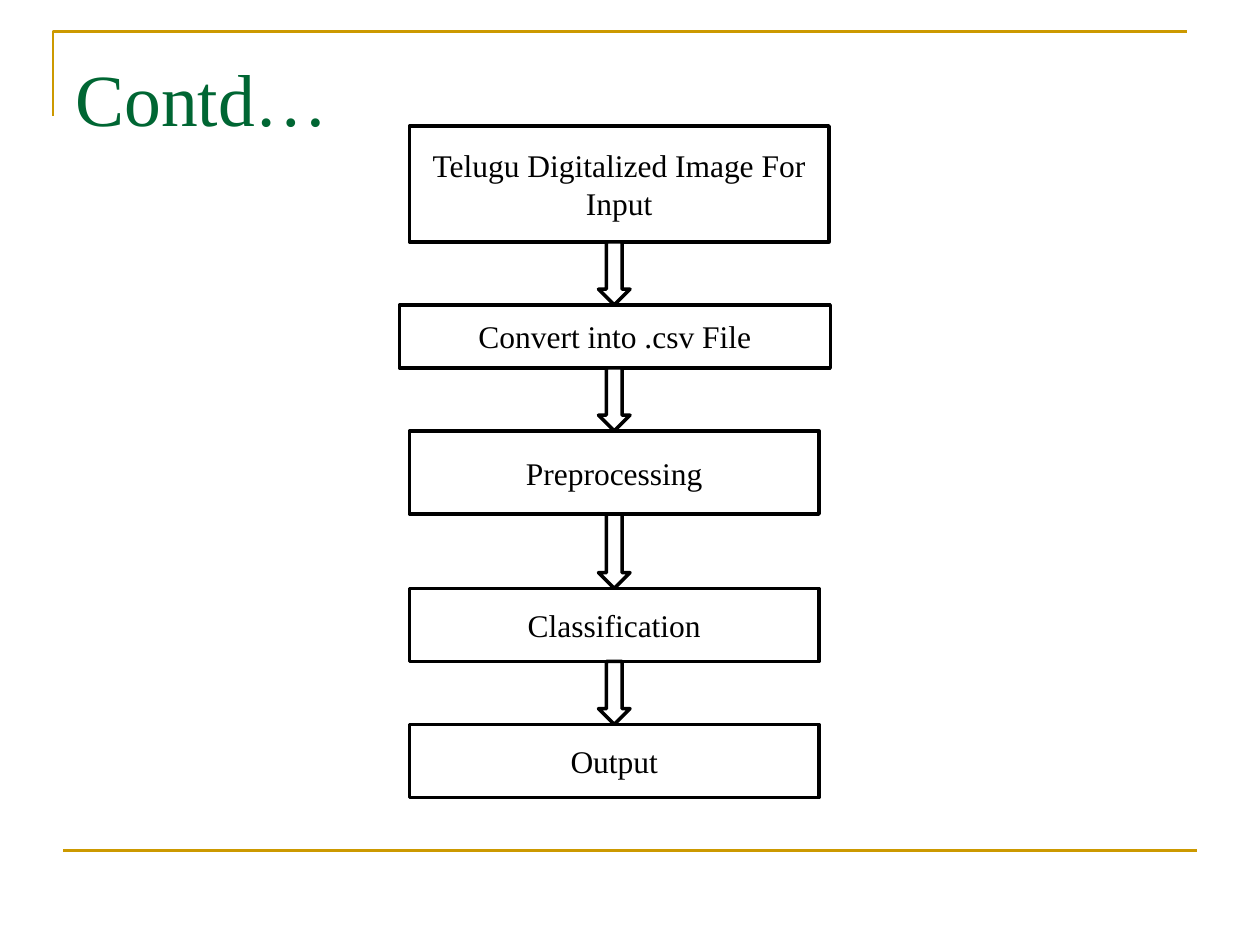
from pptx import Presentation
from pptx.dml.color import RGBColor
from pptx.enum.shapes import MSO_CONNECTOR, MSO_SHAPE
from pptx.enum.text import MSO_ANCHOR, PP_ALIGN
from pptx.oxml.ns import qn
from pptx.util import Inches, Pt
from lxml.etree import SubElement

FONT = "Times New Roman"
GOLD, GREEN, BLACK, WHITE = "CC9900", "006633", "000000", "FFFFFF"

# Steps of the flow: text, left, top, width, height
STEPS = [
    ("Telugu Digitalized Image For Input", 3.25, 1, 3.33, 0.92),
    ("Convert into .csv File", 3.17, 2.42, 3.42, 0.5),
    ("Preprocessing", 3.25, 3.42, 3.25, 0.66),
    ("Classification", 3.25, 4.67, 3.25, 0.58),
    ("Output", 3.25, 5.75, 3.25, 0.58),
]
ARROW_LEFT, ARROW_WIDTH = 4.75, 0.25


def rgb(color):
    return RGBColor.from_string(color)


def set_line(item, color, width):
    item.line.color.rgb = rgb(color)
    item.line.width = Pt(width)


def write(shape, text, size=18, color=BLACK, align=PP_ALIGN.CENTER,
          anchor=MSO_ANCHOR.MIDDLE, top_inset=0.05):
    frame = shape.text_frame
    frame.word_wrap = True
    frame.vertical_anchor = anchor
    frame.margin_top = Inches(top_inset)
    paragraph = frame.paragraphs[0]
    paragraph.alignment = align
    run = paragraph.add_run()
    run.text = text
    run.font.name = FONT
    run.font.size = Pt(size)
    run.font.color.rgb = rgb(color)


def add_outlined(slide, preset, left, top, width, height):
    shape = slide.shapes.add_shape(
        preset, Inches(left), Inches(top), Inches(width), Inches(height))
    shape.shadow.inherit = False
    shape.fill.solid()
    shape.fill.fore_color.rgb = rgb(WHITE)
    set_line(shape, BLACK, 2)
    return shape


def add_frame(slide):
    # Corner bracket around the title
    builder = slide.shapes.build_freeform(
        Inches(0.42), Inches(0.92), scale=1.0)
    builder.add_line_segments(
        [(Inches(0.42), Inches(0.25)), (Inches(9.42), Inches(0.25))],
        close=False)
    bracket = builder.convert_to_shape()
    bracket.shadow.inherit = False
    bracket.fill.background()
    set_line(bracket, GOLD, 1.5)

    # Rule above the footer
    rule = slide.shapes.add_connector(
        MSO_CONNECTOR.STRAIGHT,
        Inches(0.5), Inches(6.75), Inches(9.5), Inches(6.75))
    set_line(rule, GOLD, 1.5)
    SubElement(rule._element.spPr, qn("a:effectLst"))


def add_title(slide, text):
    title = slide.shapes.add_textbox(
        Inches(0.5), Inches(0.3), Inches(9), Inches(1.25))
    write(title, text, size=42, color=GREEN, align=PP_ALIGN.LEFT,
          anchor=MSO_ANCHOR.TOP, top_inset=0.12)


def add_flow(slide):
    for text, *place in STEPS:
        write(add_outlined(slide, MSO_SHAPE.RECTANGLE, *place), text)

    # Each arrow fills the gap between two neighbouring steps
    for (_, _, top, _, height), (_, _, next_top, _, _) in zip(STEPS, STEPS[1:]):
        bottom = top + height
        add_outlined(slide, MSO_SHAPE.DOWN_ARROW,
                     ARROW_LEFT, bottom, ARROW_WIDTH, next_top - bottom)


def main():
    prs = Presentation()
    prs.slide_width, prs.slide_height = Inches(10), Inches(7.5)
    slide = prs.slides.add_slide(prs.slide_layouts[6])
    add_frame(slide)
    add_title(slide, "Contd…")
    add_flow(slide)
    prs.save("out.pptx")


if __name__ == "__main__":
    main()
